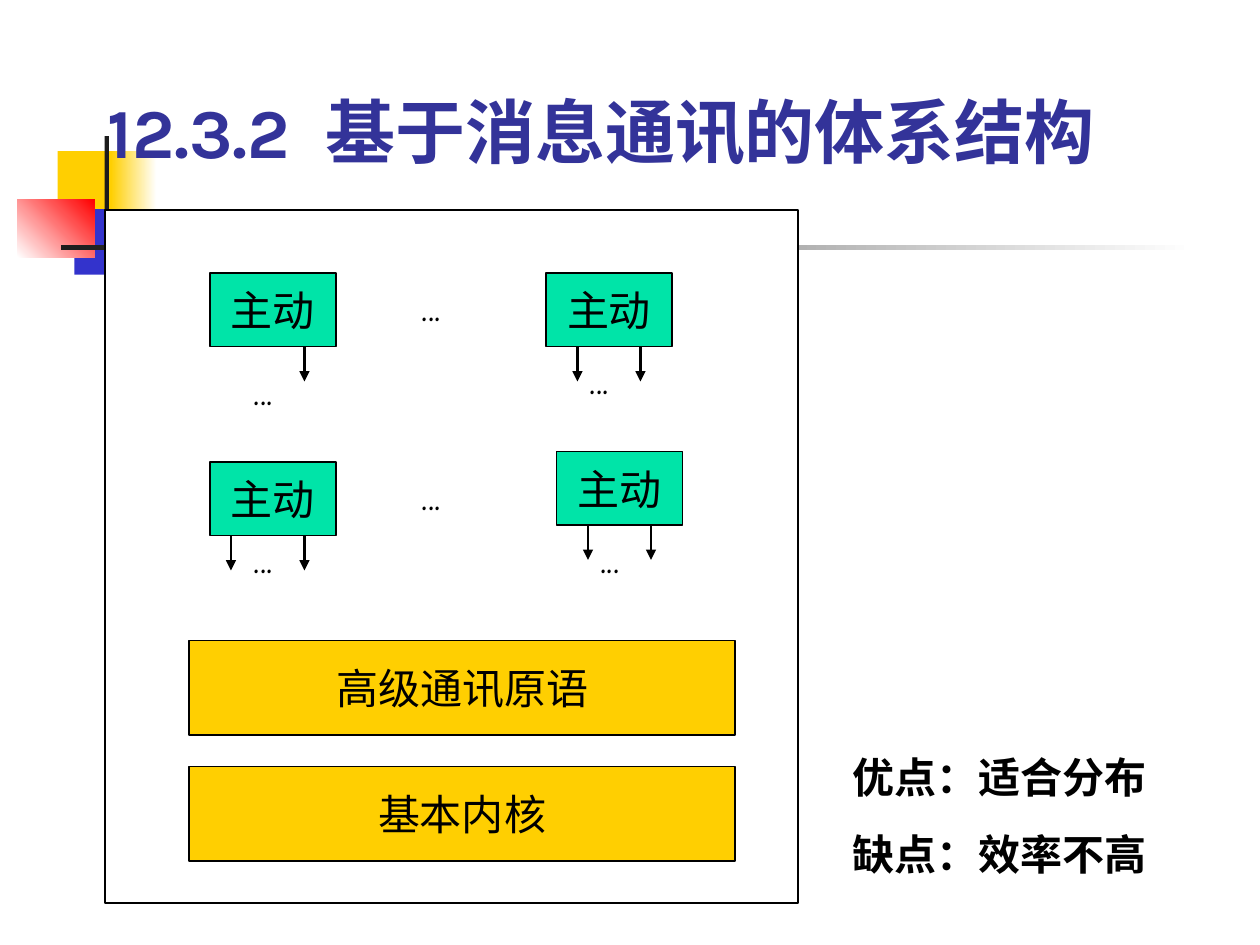
from dataclasses import dataclass

from lxml import etree
from pptx import Presentation
from pptx.dml.color import RGBColor
from pptx.enum.shapes import MSO_CONNECTOR, MSO_SHAPE
from pptx.enum.text import MSO_ANCHOR, MSO_AUTO_SIZE, PP_ALIGN
from pptx.oxml.ns import qn
from pptx.util import Pt

RECT = MSO_SHAPE.RECTANGLE
STRAIGHT = MSO_CONNECTOR.STRAIGHT
MIDDLE, BOTTOM = MSO_ANCHOR.MIDDLE, MSO_ANCHOR.BOTTOM
LEFT, CENTER = PP_ALIGN.LEFT, PP_ALIGN.CENTER
NO_FIT = MSO_AUTO_SIZE.NONE

COLORS = {
    "white": "FFFFFF", "black": "000000", "dark": "1C1C1C",
    "yellow": "FFCF01", "blue": "3333CC", "red": "FF0000",
    "green": "00E4A8", "title": "333399",
}
TITLE_FONT, TEXT_FONT, DOTS_FONT = "Karla", "Times New Roman", "Comic Neue"
BLOCK_W, BLOCK_H = 72, 42
ARROW_LENGTH = 20
DOTS_W, DOTS_H = 54, 36


@dataclass
class Box:
    x: float
    y: float
    w: float
    h: float


@dataclass
class Decor:
    box: Box
    colors: tuple[str, ...]  # one for a solid fill, two for a gradient
    angle: float = 0


@dataclass
class Module:
    x: float
    y: float
    arrows: tuple[float, ...]  # offsets from the left side of the block
    dots_dy: float


DECORS = [
    Decor(Box(33, 86.4, 34.8, 37.4), ("yellow",)),
    Decor(Box(63.4, 86.4, 26, 37.4), ("yellow", "white")),
    Decor(Box(42.5, 119.5, 33, 37.4), ("blue",)),
    Decor(Box(72, 119.5, 28.8, 37.4), ("blue", "white")),
    Decor(Box(10, 113.8, 44, 33.2), ("white", "red"), 45),
    Decor(Box(59.8, 77.8, 2.4, 82.8), ("dark",)),
    Decor(Box(34.6, 140.2, 648, 2.4), ("dark", "white")),
]
MODULES = [
    Module(120, 156, (54,), 48),
    Module(312, 156, (18, 54), 42),
    Module(120, 264, (12, 54), 36),
    Module(318, 258, (18, 54), 42),
]
LAYERS = {"高级通讯原语": 366, "基本内核": 438}
REMARKS = ["优点：适合分布", "缺点：效率不高"]


def rgb(name: str) -> RGBColor:
    return RGBColor.from_string(COLORS[name])


def add_run(p, text: str, font: str, size: float = 24,
            color: str = "black", bold: bool = False):
    r = p.add_run()
    r.text = text
    r.font.name, r.font.size, r.font.bold = font, Pt(size), bold
    r.font.color.rgb = rgb(color)
    return r


def add_rect(shapes, box: Box):
    sp = shapes.add_shape(RECT, Pt(box.x), Pt(box.y), Pt(box.w), Pt(box.h))
    sp.shadow.inherit = False
    return sp


def add_decor(shapes, decor: Decor) -> None:
    sp = add_rect(shapes, decor.box)
    sp.line.fill.background()
    if len(decor.colors) == 1:
        sp.fill.solid()
        sp.fill.fore_color.rgb = rgb(decor.colors[0])
        return
    sp.fill.gradient()
    sp.fill.gradient_angle = decor.angle
    for stop, color in zip(sp.fill.gradient_stops, decor.colors):
        stop.color.rgb = rgb(color)


def add_block(shapes, box: Box, fill: str, text: str = "") -> None:
    sp = add_rect(shapes, box)
    sp.fill.solid()
    sp.fill.fore_color.rgb = rgb(fill)
    sp.line.color.rgb = rgb("black")
    sp.line.width = Pt(0.75)
    if text:
        tf = sp.text_frame
        tf.word_wrap, tf.vertical_anchor = False, MIDDLE
        p = tf.paragraphs[0]
        p.alignment = CENTER
        add_run(p, text, TEXT_FONT)


def add_text(shapes, box: Box, lines: list[str], font: str,
             bold: bool = False) -> None:
    sp = shapes.add_textbox(Pt(box.x), Pt(box.y), Pt(box.w), Pt(box.h))
    tf = sp.text_frame
    tf.word_wrap = True
    for i, line in enumerate(lines):
        p = tf.add_paragraph() if i else tf.paragraphs[0]
        if i:
            p.space_before = Pt(15)
        add_run(p, line, font, bold=bold)


def add_dots(shapes, x: float, y: float) -> None:
    add_text(shapes, Box(x, y, DOTS_W, DOTS_H), ["..."], DOTS_FONT)


def add_arrow(shapes, x: float, y: float) -> None:
    line = shapes.add_connector(STRAIGHT, Pt(x), Pt(y), Pt(x), Pt(y + ARROW_LENGTH))
    line.line.color.rgb = rgb("black")
    line.line.width = Pt(1.5)
    etree.SubElement(line.line._get_or_add_ln(), qn("a:tailEnd"), type="triangle")
    etree.SubElement(line._element.spPr, qn("a:effectLst"))


def add_module(shapes, module: Module) -> None:
    add_block(shapes, Box(module.x, module.y, BLOCK_W, BLOCK_H), "green", "主动")
    for offset in module.arrows:
        add_arrow(shapes, module.x + offset, module.y + BLOCK_H)
    add_dots(shapes, module.x + 18, module.y + module.dots_dy)


def format_title(title) -> None:
    title.left, title.top, title.width, title.height = Pt(54), Pt(24), Pt(612), Pt(78)
    tf = title.text_frame
    tf.auto_size, tf.vertical_anchor = NO_FIT, BOTTOM
    p = tf.paragraphs[0]
    p.alignment = LEFT
    for text in ("12.3.2", " ", "基于消息通讯的体系结构"):
        r = add_run(p, text, TITLE_FONT, 40, "title", True)
        if text == " ":  # widen the gap after the section number
            r._r.get_or_add_rPr().set("spc", "1000")


def main() -> None:
    prs = Presentation()
    prs.slide_width, prs.slide_height = Pt(720), Pt(540)
    slide = prs.slides.add_slide(prs.slide_layouts[5])
    shapes = slide.shapes

    # Corner decoration and diagram panel
    for decor in DECORS:
        add_decor(shapes, decor)
    add_block(shapes, Box(60, 120, 396, 396), "white")

    # Title, in front of the decoration
    format_title(shapes.title)
    shapes._spTree.append(shapes.title._element)

    # Active modules, with dots between the columns
    for module in MODULES:
        add_module(shapes, module)
    for y in (156, 264):
        add_dots(shapes, 234, y)

    # Kernel layers
    for text, y in LAYERS.items():
        add_block(shapes, Box(108, y, 312, 54), "yellow", text)

    # Remarks
    add_text(shapes, Box(480, 426, 192, 80), REMARKS, TEXT_FONT, bold=True)

    prs.save("out.pptx")


if __name__ == "__main__":
    main()
